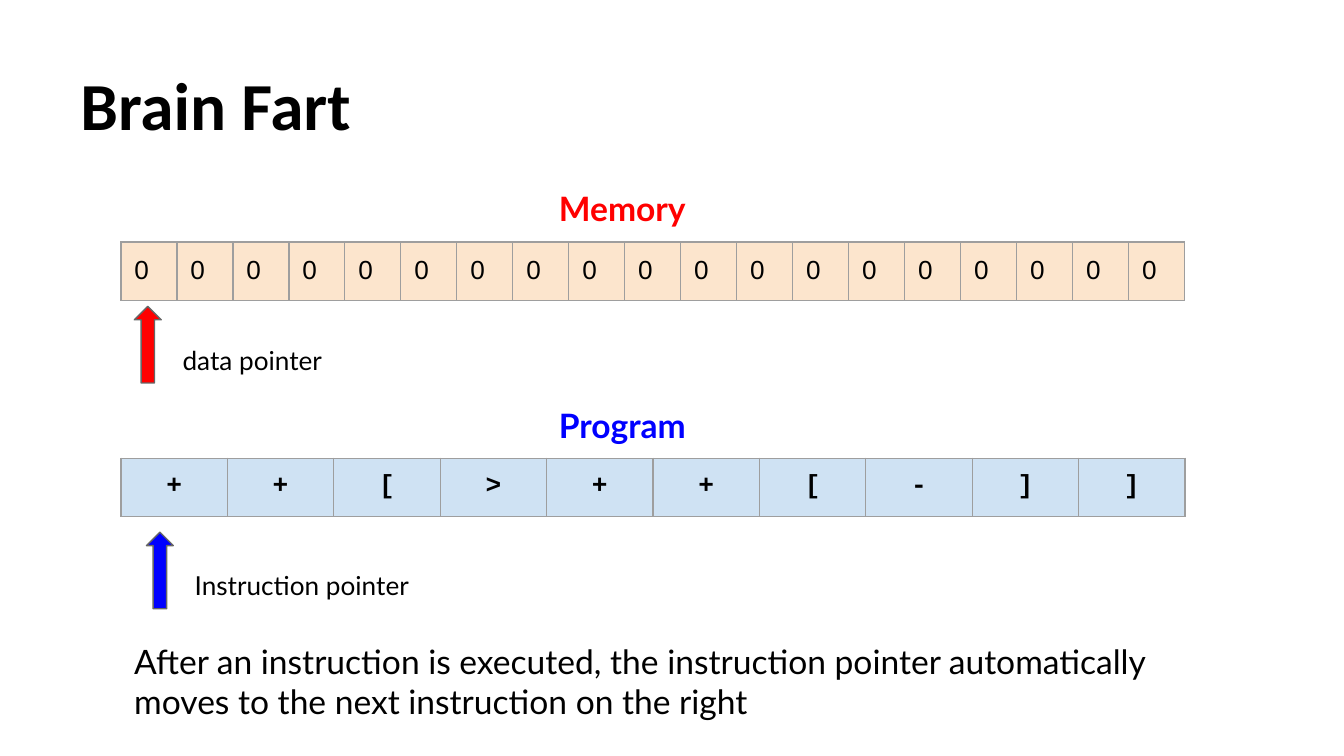
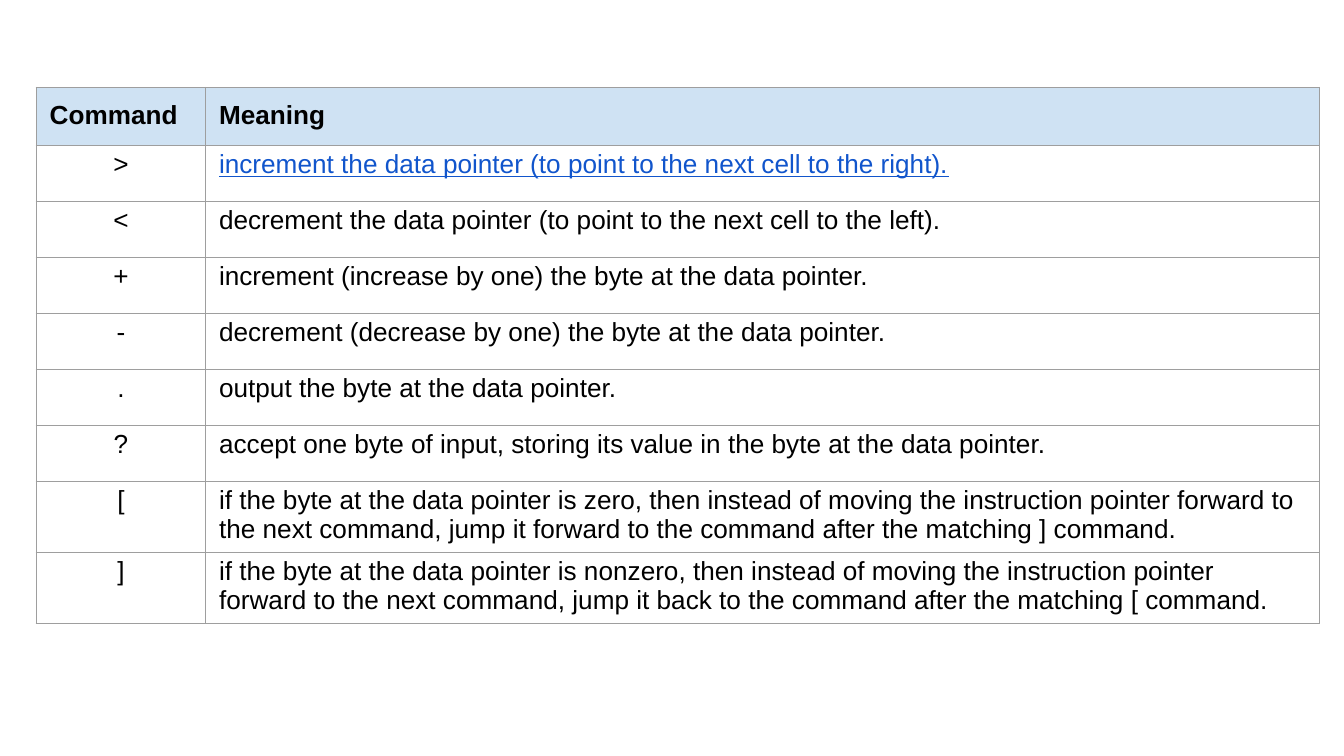
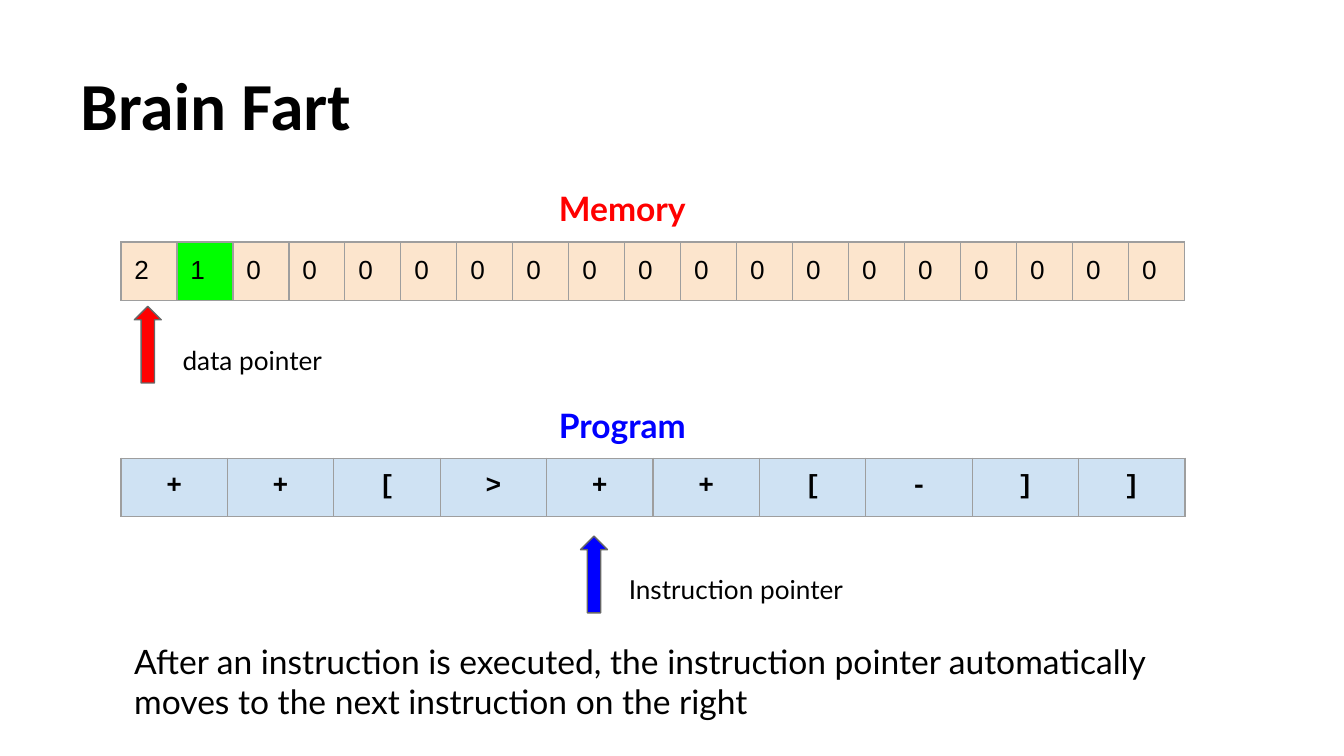
from lxml import etree
from pptx import Presentation
from pptx.dml.color import RGBColor
from pptx.enum.shapes import MSO_SHAPE
from pptx.enum.text import MSO_ANCHOR, PP_ALIGN
from pptx.oxml.ns import qn
from pptx.util import Inches, Pt

# Shared colours, fonts and measures (inches)
BLACK, RED, BLUE, LINK = "000000", "FF0000", "0000FF", "1155CC"
PEACH, PALE_BLUE, GREEN = "FCE5CD", "CFE2F3", "00FF00"
BORDER, OUTLINE = "9E9E9E", "666666"
TITLE_FONT, LABEL_FONT, CELL_FONT, CODE_FONT = "Calibri", "Lato", "Arial", "Courier New"
SLIDE_WIDTH = 10
TAPE_LEFT, TAPE_WIDTH, MEMORY_SIZE = 0.9, 7.92, 19
ROW_HEIGHT = TAPE_WIDTH / MEMORY_SIZE  # memory cells are square
LABEL_HEIGHT = 0.73

PROGRAM = "++[>++[-]]"
NOTE = ("After an instruction is executed, the instruction pointer automatically "
        "moves to the next instruction on the right")
COMMANDS = [
    (">", "increment the data pointer (to point to the next cell to the right)."),
    ("<", "decrement the data pointer (to point to the next cell to the left)."),
    ("+", "increment (increase by one) the byte at the data pointer."),
    ("-", "decrement (decrease by one) the byte at the data pointer."),
    (".", "output the byte at the data pointer."),
    ("?", "accept one byte of input, storing its value in the byte at the data pointer."),
    ("[", "if the byte at the data pointer is zero, then instead of moving the instruction "
          "pointer forward to the next command, jump it forward to the command after the "
          "matching ] command."),
    ("]", "if the byte at the data pointer is nonzero, then instead of moving the instruction "
          "pointer forward to the next command, jump it back to the command after the "
          "matching [ command."),
]


def rgb(color):
    return RGBColor.from_string(color)


def write(tf, text, size=14, font=LABEL_FONT, color=BLACK, bold=False,
          underline=False, align=PP_ALIGN.LEFT):
    p = tf.paragraphs[0]
    p.alignment = align
    p.line_spacing = 1.0
    p.space_before = p.space_after = Pt(0)
    r = p.add_run()
    r.text = text
    r.font.size, r.font.name = Pt(size), font
    r.font.bold, r.font.underline = bold, underline
    r.font.color.rgb = rgb(color)


def add_text(s, text, x, y, w, h=LABEL_HEIGHT, anchor=MSO_ANCHOR.TOP, **fmt):
    tf = s.shapes.add_textbox(Inches(x), Inches(y), Inches(w), Inches(h)).text_frame
    tf.word_wrap = True
    tf.vertical_anchor = anchor
    tf.margin_left = tf.margin_right = tf.margin_top = tf.margin_bottom = Inches(0.1)
    write(tf, text, **fmt)


def add_grid(s, x, y, widths, row_count):
    table = s.shapes.add_table(row_count, len(widths), Inches(x), Inches(y),
                               Inches(sum(widths)), Inches(row_count * ROW_HEIGHT)).table
    table.first_row = table.horz_banding = False
    for column, width in zip(table.columns, widths):
        column.width = Inches(width)
    return table


def fill_cell(cell, text, fill=None, pad=0.1, **fmt):
    cell.margin_left = cell.margin_right = Inches(0.1)
    cell.margin_top = cell.margin_bottom = Inches(pad)
    # Borders come before the fill in the cell properties
    tc_pr = cell._tc.get_or_add_tcPr()
    for side in ("a:lnL", "a:lnR", "a:lnT", "a:lnB"):
        ln = etree.SubElement(tc_pr, qn(side), w=str(Pt(0.75)))
        solid = etree.SubElement(ln, qn("a:solidFill"))
        etree.SubElement(solid, qn("a:srgbClr"), val=BORDER)
    if fill:
        cell.fill.solid()
        cell.fill.fore_color.rgb = rgb(fill)
    else:
        cell.fill.background()
    write(cell.text_frame, text, **fmt)


def add_tape(s, y, heading, color, values, fills, **fmt):
    """A heading above one row of equal cells."""
    add_text(s, heading, 4.06, y, 1.31, size=18, color=color, bold=True)
    widths = [TAPE_WIDTH / len(values)] * len(values)
    table = add_grid(s, TAPE_LEFT, y + 0.5, widths, 1)
    for i, value in enumerate(values):
        fill_cell(table.cell(0, i), str(value), fills[i], **fmt)


def add_pointer(s, x, y, label, width, color):
    """An up arrow with its label at the lower right."""
    arrow = s.shapes.add_shape(MSO_SHAPE.UP_ARROW, Inches(x), Inches(y),
                               Inches(0.2), Inches(0.57))
    arrow.shadow.inherit = False
    arrow.fill.solid()
    arrow.fill.fore_color.rgb = rgb(color)
    arrow.line.color.rgb = rgb(OUTLINE)
    arrow.line.width = Pt(0.75)
    add_text(s, label, x + 0.26, y + 0.18, width)


def new_slide(prs):
    return prs.slides.add_slide(prs.slide_layouts[6])


def machine_slide(prs, memory, instruction_at, changed=()):
    """The machine's state: memory, program and both pointers."""
    s = new_slide(prs)
    add_text(s, "Brain Fart", 0.5, 0.23, 9, 0.94, anchor=MSO_ANCHOR.BOTTOM,
             size=36, font=TITLE_FONT, bold=True)
    memory_fills = [GREEN if i in changed else PEACH for i in range(len(memory))]
    add_tape(s, 1.3, "Memory", RED, memory, memory_fills, font=CELL_FONT)
    add_tape(s, 2.91, "Program", BLUE, PROGRAM, [PALE_BLUE] * len(PROGRAM),
             font=CODE_FONT, bold=True, align=PP_ALIGN.CENTER)
    add_pointer(s, 1, 2.28, "data pointer", 1.31, RED)
    add_pointer(s, *instruction_at, "Instruction pointer", 2.05, BLUE)
    add_text(s, NOTE, TAPE_LEFT, 4.67, TAPE_WIDTH, size=18)


def command_slide(prs):
    """The reference table of commands."""
    s = new_slide(prs)
    table = add_grid(s, 0.27, 0.65, [1.26, 8.29], len(COMMANDS) + 1)
    for col, heading in enumerate(("Command", "Meaning")):
        fill_cell(table.cell(0, col), heading, PALE_BLUE, font=CELL_FONT, bold=True)
    for row, (command, meaning) in enumerate(COMMANDS, 1):
        linked = row == 1
        fill_cell(table.cell(row, 0), command, pad=0.03, font=CELL_FONT,
                  align=PP_ALIGN.CENTER)
        fill_cell(table.cell(row, 1), meaning, pad=0.03, font=CELL_FONT,
                  color=LINK if linked else BLACK, underline=linked)


def main():
    prs = Presentation()
    prs.slide_width = Inches(SLIDE_WIDTH)
    prs.slide_height = Inches(SLIDE_WIDTH * 9 / 16)
    machine_slide(prs, [0] * MEMORY_SIZE, (1.09, 3.96))
    command_slide(prs)
    machine_slide(prs, [2, 1] + [0] * (MEMORY_SIZE - 2), (4.32, 3.99), changed=(1,))
    prs.save("out.pptx")


if __name__ == "__main__":
    main()
